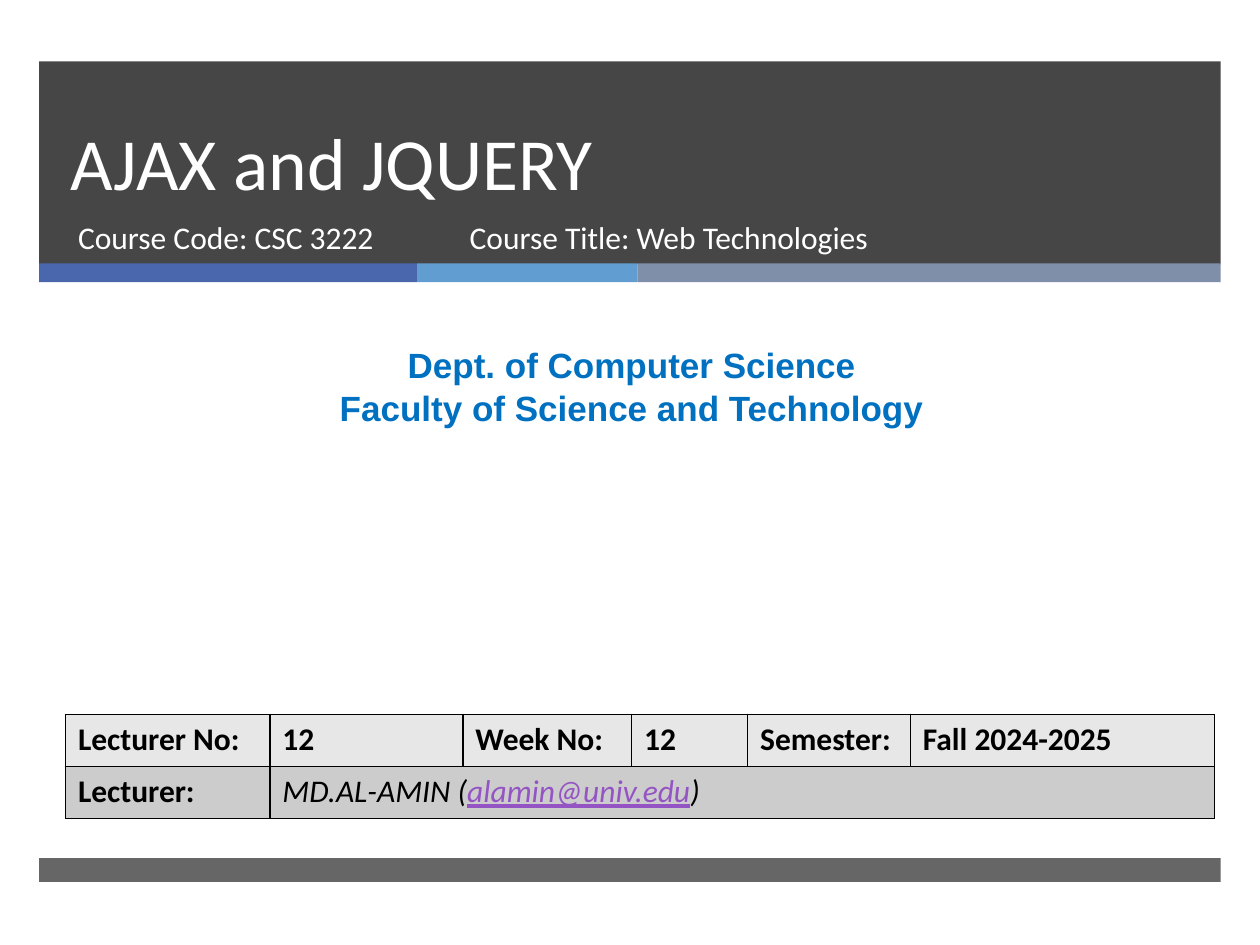
from dataclasses import dataclass

from lxml.etree import SubElement
from pptx import Presentation
from pptx.dml.color import RGBColor as RGB
from pptx.enum.shapes import MSO_SHAPE as SHAPE
from pptx.enum.text import MSO_ANCHOR as ANCHOR, MSO_AUTO_SIZE as AUTO, PP_ALIGN as ALIGN
from pptx.oxml import parse_xml
from pptx.oxml.ns import nsdecls, qn
from pptx.util import Cm, Pt


@dataclass(frozen=True)
class Theme:
    dark: str = "262626"
    accents: tuple = ("4A66AC", "629DD1", "7F8FA9")
    white: str = "FFFFFF"
    black: str = "000000"
    blue: str = "0070C0"
    mail: str = "9454C3"
    rows: tuple = ("E7E7E7", "CCCCCC")
    title: int = 42
    dept: int = 20
    text: int = 18


theme = Theme()


def add_text(p, text, color=theme.white, size=theme.text, font="Calibri",
             bold=False, italic=False, underline=False, align=ALIGN.LEFT, spacing=None):
    r = p.add_run()
    r.text = text
    f = r.font
    f.name, f.size, f.color.rgb = font, Pt(size), RGB.from_string(color)
    f.bold, f.italic, f.underline = bold, italic, underline
    p.alignment, p.space_before = align, Pt(0)
    if spacing:
        p.line_spacing = Pt(spacing)


prs = Presentation()
prs.slide_width, prs.slide_height = Cm(25.4), Cm(19.05)
s = prs.slides.add_slide(prs.slide_layouts[0])

# Header band, accent strip and footer band: left, top, width, height, colour, opacity %
left, width = 0.79, 23.82
bands = [(left, 1.24, width, 4.09, theme.dark, 85)]
x = left
for w, color in zip((7.62, 4.44, 11.76), theme.accents):
    bands.append((x, 5.31, w, 0.38, color, 100))
    x += w
bands.append((left, 17.3, width, 0.48, theme.dark, 70))
for x, y, w, h, color, opacity in bands:
    sp = s.shapes.add_shape(SHAPE.RECTANGLE, Cm(x), Cm(y), Cm(w), Cm(h))
    sp.shadow.inherit = False
    sp.line.fill.background()
    sp.fill.solid()
    sp.fill.fore_color.rgb = RGB.from_string(color)
    if opacity < 100:
        clr = sp.fill._xPr.find(".//" + qn("a:srgbClr"))
        SubElement(clr, qn("a:alpha"), val=str(opacity * 1000))

# Title and course lines, in front of the bands
title, code = s.shapes.title, s.placeholders[1]
course = s.shapes.add_textbox(0, 0, 0, 0)
dept = s.shapes.add_textbox(0, 0, 0, 0)
for sp, box, anchor in (
    (title, (1.17, 1.24, 21.69, 3.02), ANCHOR.BOTTOM),
    (code, (1.32, 4.27, 7.75, 1.35), ANCHOR.TOP),
    (course, (9.22, 4.27, 11.56, 1.35), ANCHOR.TOP),
    (dept, (0.2, 6.81, 25.07, 1.96), ANCHOR.TOP),
):
    sp.left, sp.top, sp.width, sp.height = map(Cm, box)
    tf = sp.text_frame
    tf.word_wrap, tf.auto_size, tf.vertical_anchor = True, AUTO.NONE, anchor
    s.shapes._spTree.append(sp._element)
add_text(title.text_frame.paragraphs[0], "AJAX and JQUERY", size=theme.title, spacing=46)
add_text(code.text_frame.paragraphs[0], "Course Code: CSC 3222")
add_text(course.text_frame.paragraphs[0], "Course Title: Web Technologies")

# Department
tf = dept.text_frame
for p, line in ((tf.paragraphs[0], "Dept. of Computer Science"),
                (tf.add_paragraph(), "Faculty of Science and Technology")):
    add_text(p, line, color=theme.blue, size=theme.dept, font="Arial", bold=True,
             align=ALIGN.CENTER, spacing=24)

# Lecture table
col_widths = (4.12, 3.89, 3.4, 2.34, 3.28, 6.13)
table = s.shapes.add_table(2, 6, Cm(1.32), Cm(14.4), Cm(sum(col_widths)), Cm(2.1)).table
for col, w in zip(table.columns, col_widths):
    col.width = Cm(w)
for row, color in zip(table.rows, theme.rows):
    row.height = Cm(1.05)
    for cell in row.cells:
        cell.fill.solid()
        cell.fill.fore_color.rgb = RGB.from_string(color)
        tcPr = cell._tc.get_or_add_tcPr()
        for i, side in enumerate("LRTB"):
            tcPr.insert(i, parse_xml(
                f'<a:ln{side} {nsdecls("a")} w="12700"><a:solidFill>'
                f'<a:srgbClr val="{theme.black}"/></a:solidFill></a:ln{side}>'))
table.cell(1, 1).merge(table.cell(1, 5))

labels = (("Lecturer No:", "12", "Week No:", "12", "Semester:", "Fall 2024-2025"),
          ("Lecturer:",))
for i, row in enumerate(labels):
    for j, text in enumerate(row):
        add_text(table.cell(i, j).text_frame.paragraphs[0], text, color=theme.black, bold=True)
p = table.cell(1, 1).text_frame.paragraphs[0]
add_text(p, "MD.AL-AMIN (", color=theme.black, italic=True)
add_text(p, "alamin@univ.edu", color=theme.mail, italic=True, underline=True)
add_text(p, ")", color=theme.black, italic=True)

prs.save("out.pptx")
